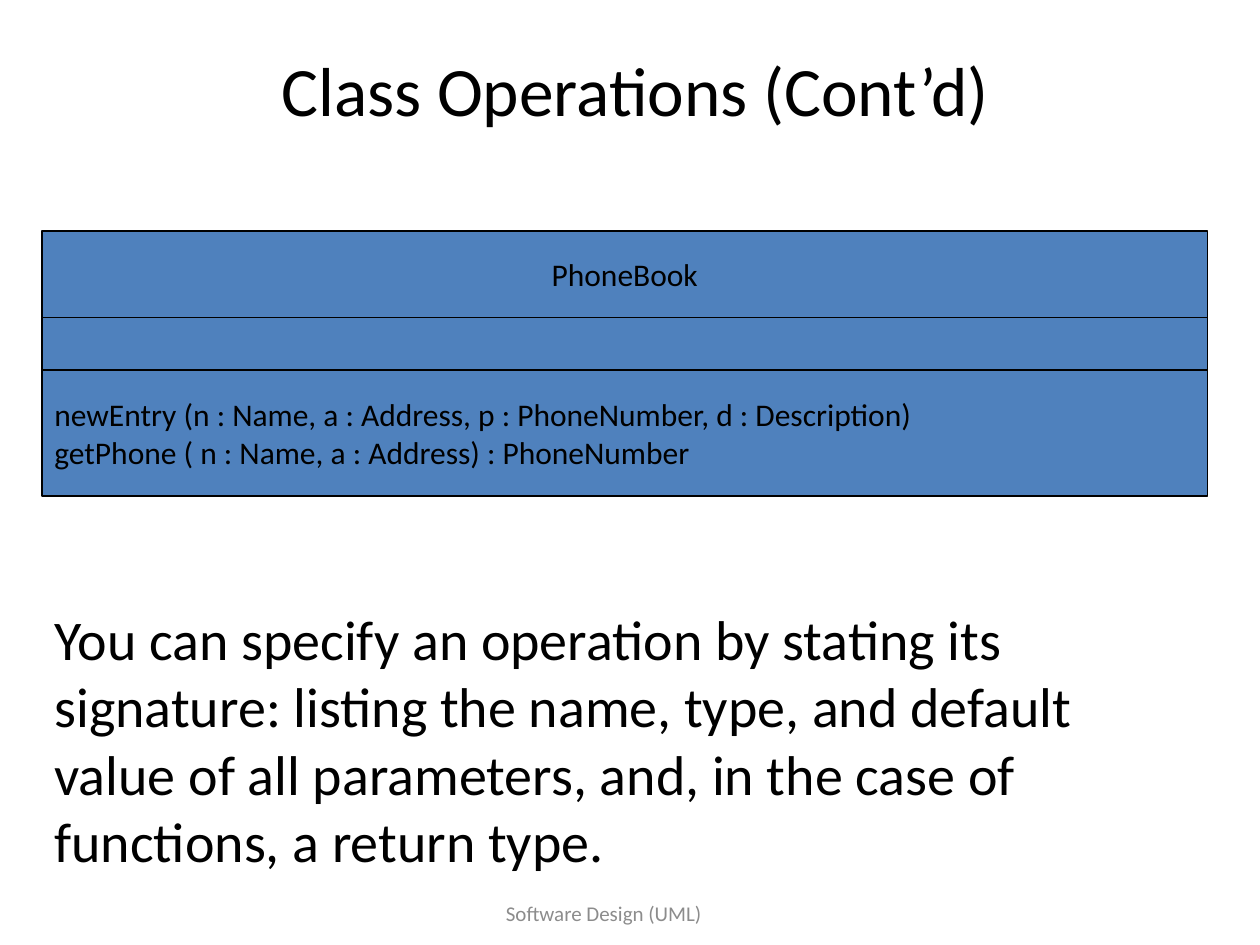
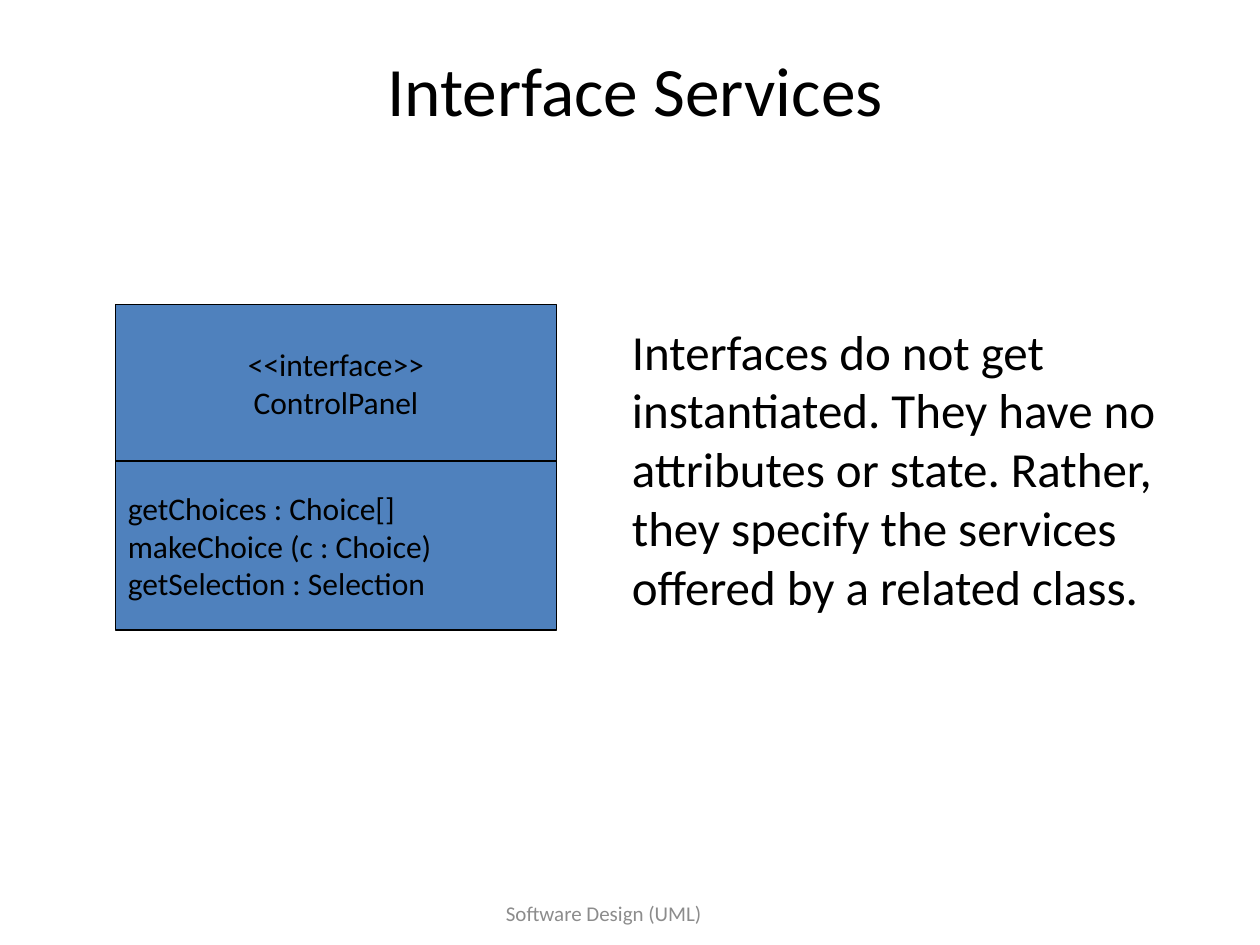
from pptx import Presentation
from pptx.dml.color import RGBColor
from pptx.enum.shapes import MSO_SHAPE
from pptx.enum.text import MSO_ANCHOR, PP_ALIGN
from pptx.util import Pt

BLACK = RGBColor(0x00, 0x00, 0x00)
GRAY = RGBColor(0x8C, 0x8C, 0x8C)
BLUE = RGBColor(0x4F, 0x81, 0xBD)
FONT = "Calibri"
BLANK_LAYOUT = 6


class Deck:
    """Holds the shared style and the slide being built."""

    def __init__(self):
        self.presentation = Presentation()
        self.presentation.slide_width = Pt(720)
        self.presentation.slide_height = Pt(540)
        self.slide = None

    def new_slide(self, title):
        layout = self.presentation.slide_layouts[BLANK_LAYOUT]
        self.slide = self.presentation.slides.add_slide(layout)
        self.text([title], 54, 30, 618, 42, 39.6, PP_ALIGN.CENTER, MSO_ANCHOR.MIDDLE)
        self.text(["Software Design (UML)"], 186, 504, 318, 36, 12,
                  PP_ALIGN.CENTER, MSO_ANCHOR.MIDDLE, GRAY)

    def fill_text(self, shape, lines, size, align, anchor, color=BLACK):
        frame = shape.text_frame
        frame.word_wrap = True
        frame.vertical_anchor = anchor
        frame.text = "\n".join(lines)
        for paragraph in frame.paragraphs:
            paragraph.alignment = align
            paragraph.font.name = FONT
            paragraph.font.size = Pt(size)
            paragraph.font.color.rgb = color

    def text(self, lines, left, top, width, height, size,
             align=PP_ALIGN.LEFT, anchor=MSO_ANCHOR.TOP, color=BLACK):
        box = self.slide.shapes.add_textbox(Pt(left), Pt(top), Pt(width), Pt(height))
        self.fill_text(box, lines, size, align, anchor, color)

    def compartment(self, lines, left, top, width, height, align):
        box = self.slide.shapes.add_shape(
            MSO_SHAPE.RECTANGLE, Pt(left), Pt(top), Pt(width), Pt(height))
        box.shadow.inherit = False
        box.fill.solid()
        box.fill.fore_color.rgb = BLUE
        box.line.color.rgb = BLACK
        box.line.width = Pt(0.75)
        if lines:
            self.fill_text(box, lines, 18, align, MSO_ANCHOR.MIDDLE)

    def uml_class(self, left, width, compartments):
        """Draw (top, height, lines) compartments; the first one is the centred name."""
        for index, (top, height, lines) in enumerate(compartments):
            align = PP_ALIGN.LEFT if index else PP_ALIGN.CENTER
            self.compartment(lines, left, top, width, height, align)


def main():
    deck = Deck()

    deck.new_slide("Class Operations (Cont’d)")
    deck.uml_class(24, 666, [
        (132, 49.5, ["PhoneBook"]),
        (181.5, 37.5, []),
        (211.5, 72, [
            "newEntry (n : Name, a : Address, p : PhoneNumber, d : Description)",
            "getPhone ( n : Name, a : Address) : PhoneNumber",
        ]),
    ])
    deck.text(["You can specify an operation by stating its signature: listing the name, "
               "type, and default value of all parameters, and, in the case of functions, "
               "a return type."], 24, 342, 660, 163, 32)

    deck.new_slide("Interface Services")
    deck.text(["Interfaces do not get instantiated. They have no attributes or state. "
               "Rather, they specify the services offered by a related class."],
              354, 180, 348, 177, 28)
    deck.uml_class(66, 252, [
        (174, 90, ["<<interface>>", "ControlPanel"]),
        (263.5, 96.5, [
            "getChoices : Choice[]",
            "makeChoice (c : Choice)",
            "getSelection : Selection",
        ]),
    ])

    deck.presentation.save("out.pptx")


if __name__ == "__main__":
    main()
